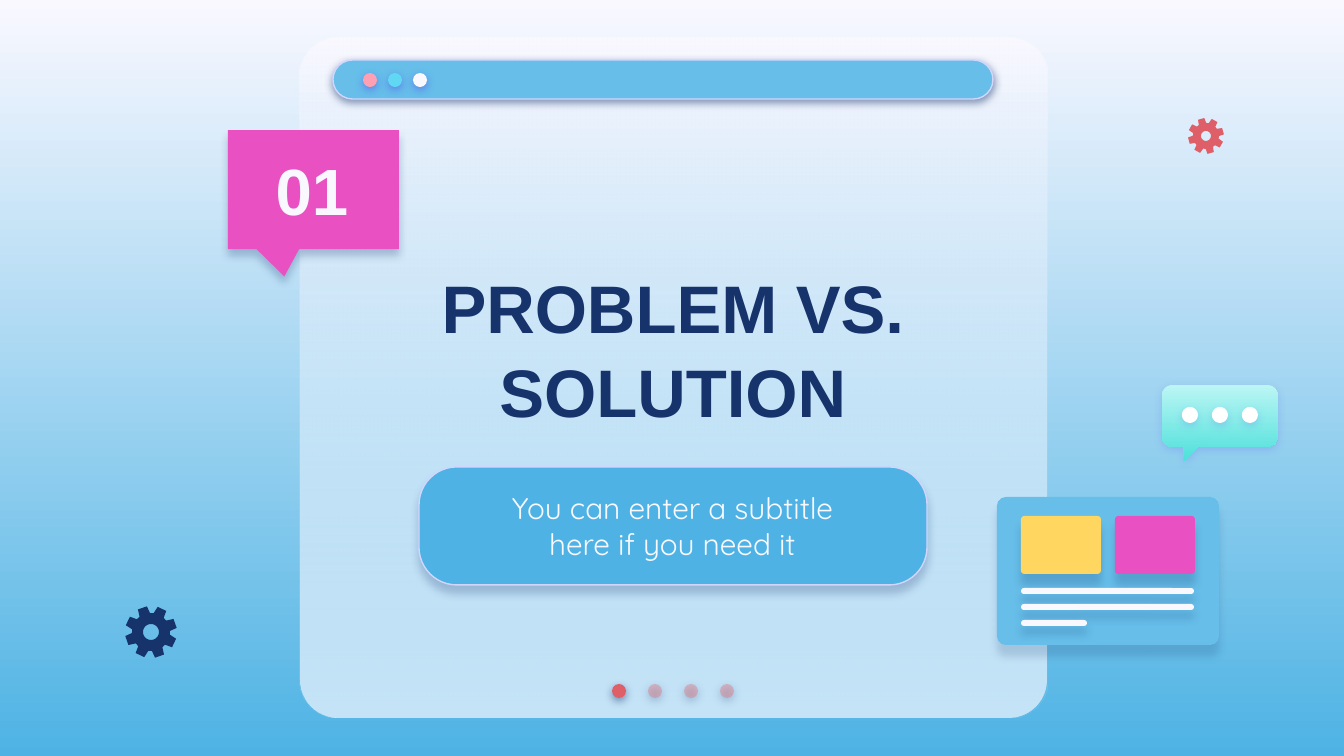
"""Builds the section slide "Problem vs. solution"."""
import math

from pptx import Presentation
from pptx import util as u
from pptx.dml.color import RGBColor
from pptx.enum import shapes, text
from pptx.oxml import ns, xmlchemy

SCALE = 9144000 / 1344
WHITE = RGBColor(0xFF, 0xFF, 0xFF)
PALE = RGBColor(0xF9, 0xF8, 0xFF)
LILAC = RGBColor(0xD2, 0xD6, 0xFF)
SKY = RGBColor(0x66, 0xBE, 0xE9)
BLUE = RGBColor(0x4E, 0xB3, 0xE4)
CYAN = RGBColor(0x60, 0xD8, 0xF4)
NAVY = RGBColor(0x17, 0x33, 0x6B)
INDIGO = RGBColor(0x53, 0x52, 0xEE)
MAGENTA = RGBColor(0xE9, 0x51, 0xC2)
YELLOW = RGBColor(0xFF, 0xD6, 0x5F)
RED = RGBColor(0xDF, 0x5F, 0x69)
ROSE = RGBColor(0xE2, 0x7B, 0x83)
PINK = RGBColor(0xFD, 0xA0, 0xB4)
MINT = RGBColor(0xBB, 0xF6, 0xF4)
TEAL = RGBColor(0x4E, 0xE0, 0xDB)
ROUNDED = shapes.MSO_SHAPE.ROUNDED_RECTANGLE
OVAL = shapes.MSO_SHAPE.OVAL
CALLOUT = shapes.MSO_SHAPE.ROUNDED_RECTANGULAR_CALLOUT


def px(value):
    return u.Emu(round(value * SCALE))


def arc(x, y, radius, start=0, end=360, steps=24):
    angles = [math.radians(start + (end - start) * i / steps) for i in range(steps + 1)]
    return [(x + radius * math.cos(a), y - radius * math.sin(a)) for a in angles]


def add_element(parent, tag, **attributes):
    element = xmlchemy.OxmlElement(tag)
    for name, value in attributes.items():
        element.set(name, str(value))
    parent.append(element)
    return element


def fill_gradient(fill, colours):
    fill.gradient()
    fill.gradient_angle = 270
    for stop, colour in zip(fill.gradient_stops, colours):
        stop.color.rgb = colour


class Deck:
    """Holds the style and the current slide."""

    def __init__(self, width, height):
        self.presentation = Presentation()
        self.presentation.slide_width = px(width)
        self.presentation.slide_height = px(height)
        self.slide = self.presentation.slides.add_slide(self.presentation.slide_layouts[0])

    def background(self, *colours):
        fill_gradient(self.slide.background.fill, colours)

    def paint(self, shape, colours, alpha=None, line=None, shadow=None):
        properties = shape.element.spPr
        if len(colours) > 1:
            fill_gradient(shape.fill, colours)
        else:
            shape.fill.solid()
            shape.fill.fore_color.rgb = colours[0]
        if alpha:
            last_colour = list(properties.iter(ns.qn("a:srgbClr")))[-1]
            add_element(last_colour, "a:alpha", val=alpha * 1000)
        if line:
            shape.line.color.rgb = line
            shape.line.width = u.Pt(0.75)
        else:
            shape.line.fill.background()
        shape.shadow.inherit = False
        if shadow:
            colour, opacity, distance = shadow
            outer = add_element(properties.find(ns.qn("a:effectLst")), "a:outerShdw",
                                blurRad=u.Pt(4.5), dist=u.Pt(distance), dir=5400000,
                                algn="bl", rotWithShape=0)
            add_element(add_element(outer, "a:srgbClr", val=colour),
                        "a:alpha", val=opacity * 1000)

    def shape(self, kind, box, *colours, adjust=(), **style):
        shape = self.slide.shapes.add_shape(kind, *map(px, box))
        for index, value in enumerate(adjust):
            shape.adjustments[index] = value
        self.paint(shape, colours, **style)

    def outline(self, contours, *colours, **style):
        contours = [[(px(x), px(y)) for x, y in contour] for contour in contours]
        builder = self.slide.shapes.build_freeform(*contours[0][0])
        for index, contour in enumerate(contours):
            if index:
                builder.move_to(*contour[0])
            builder.add_line_segments(contour[1:], close=True)
        self.paint(builder.convert_to_shape(), colours, **style)

    def gear(self, x, y, outer, inner, hole, start, colour):
        rim = []
        for tooth in range(8):
            for radius, angle in ((outer, 0), (outer, 21), (inner, 28), (inner, 39)):
                rim += arc(x, y, radius, start + 45 * tooth + angle, 0, 1)[:1]
        self.outline([rim, arc(x, y, hole, 360, 0)], colour)

    def fill_text(self, shape, box, wording, size, font, colour, bold=False,
                  anchor=text.MSO_ANCHOR.MIDDLE, spacing=1.0, after=0):
        shape.left, shape.top, shape.width, shape.height = map(px, box)
        frame = shape.text_frame
        frame.word_wrap = True
        frame.auto_size = text.MSO_AUTO_SIZE.NONE
        frame.vertical_anchor = anchor
        frame.margin_left = frame.margin_right = u.Inches(0.1)
        frame.margin_top = frame.margin_bottom = u.Inches(0.1)
        paragraph = frame.paragraphs[0]
        paragraph.alignment = text.PP_ALIGN.CENTER
        paragraph.line_spacing = spacing
        paragraph.space_before = u.Pt(0)
        paragraph.space_after = u.Pt(after)
        run = paragraph.add_run()
        run.text = wording
        run.font.size = u.Pt(size)
        run.font.name = font
        run.font.bold = bold
        run.font.color.rgb = colour

    def placeholder(self, index, box, wording, *style, **options):
        shape = self.slide.placeholders[index]
        self.slide.shapes.element.append(shape.element)
        self.fill_text(shape, box, wording, *style, **options)

    def label(self, box, wording, *style, **options):
        shape = self.slide.shapes.add_textbox(*map(px, box))
        self.fill_text(shape, box, wording, *style, **options)


def main():
    deck = Deck(1344, 756)
    deck.background(PALE, BLUE)

    panel = (300, 38, 747, 680)
    deck.shape(ROUNDED, panel, PALE, adjust=[0.056])
    deck.shape(ROUNDED, panel, PALE, SKY, adjust=[0.056], alpha=35)
    navy_shadow = (NAVY, 50, 1.5)
    for i in range(4):
        deck.shape(OVAL, (612 + 36 * i, 684, 14, 14), ROSE if i else RED,
                   alpha=44 if i else None, shadow=navy_shadow)
    deck.shape(ROUNDED, (333, 60, 660, 39), SKY, adjust=[0.5], line=LILAC, shadow=navy_shadow)
    for i, colour in enumerate((PINK, CYAN, PALE)):
        deck.shape(OVAL, (363 + 25 * i, 73, 14, 14), colour, shadow=(INDIGO, 50, 1.5))

    deck.shape(CALLOUT, (228, 130, 171, 119), MAGENTA, adjust=[-0.17, 0.73, 0],
               shadow=(NAVY, 25, 3.8))
    deck.shape(ROUNDED, (419, 467, 508, 118), BLUE, adjust=[0.32], line=LILAC,
               shadow=(NAVY, 24, 3.8))
    deck.placeholder(0, (364, 224, 618, 245), "PROBLEM VS. SOLUTION", 36, "Arial", NAVY,
                     bold=True, spacing=1.05)
    deck.placeholder(1, (470, 473, 405, 105), "You can enter a subtitle here if you need it",
                     16, "Quicksand", PALE, after=12)

    deck.shape(ROUNDED, (997, 497, 222, 148), SKY, adjust=[0.06], shadow=(NAVY, 17, 6))
    for x, colour in ((1021, YELLOW), (1115, MAGENTA)):
        deck.shape(ROUNDED, (x, 516, 80, 58), colour, adjust=[0.06], shadow=(NAVY, 20, 6))
    for i, width in enumerate((173, 173, 66)):
        deck.shape(ROUNDED, (1021, 588 + 16 * i, width, 6), PALE, adjust=[0.5],
                   shadow=(NAVY, 21, 4.5))

    bubble_shadow = (INDIGO, 18, 1.5)
    bubble = (arc(1267, 396, 11, 0, 90) + arc(1173, 396, 11, 90, 180)
              + arc(1173, 436, 11, 180, 270) + [(1184, 447), (1184, 461), (1198, 447)]
              + arc(1267, 436, 11, 270, 360))
    deck.outline([bubble], MINT, TEAL, shadow=bubble_shadow)
    deck.outline([arc(1190 + 30 * i, 415, 8) for i in range(3)], WHITE, shadow=bubble_shadow)

    deck.gear(151, 632, 26, 19, 8, 99, NAVY)
    deck.gear(1206, 136, 18, 13, 5, 95, RED)
    deck.label((241, 137, 142, 105), "01", 35, "Arial", PALE, bold=True,
               anchor=text.MSO_ANCHOR.BOTTOM)
    deck.presentation.save("out.pptx")


if __name__ == "__main__":
    main()
